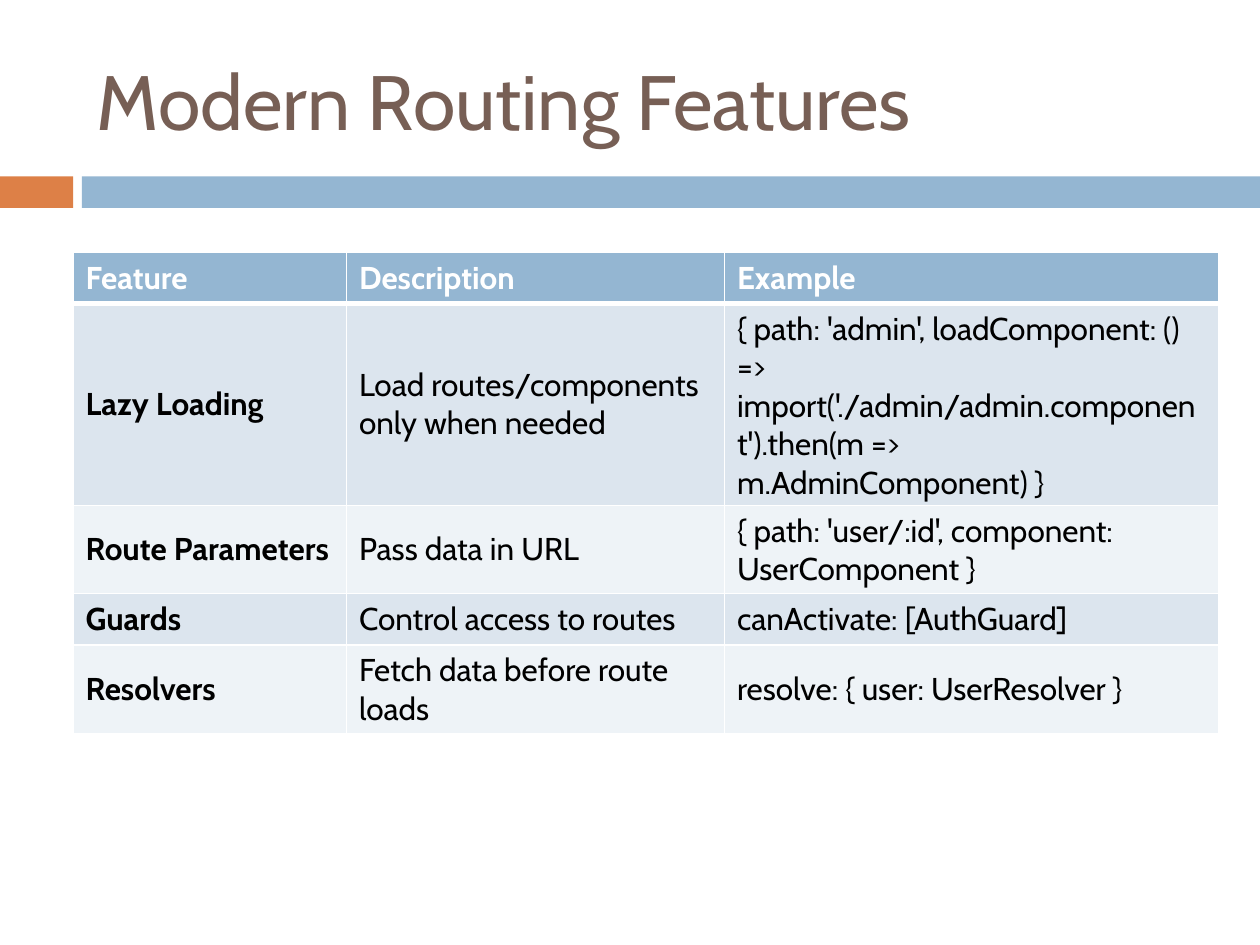
from lxml.etree import SubElement
from pptx import Presentation
from pptx.dml.color import RGBColor
from pptx.enum.shapes import MSO_SHAPE
from pptx.enum.text import MSO_ANCHOR
from pptx.oxml.ns import qn
from pptx.util import Inches, Pt

FONT = "Cabin"
BLUE, ORANGE, BROWN = "94B6D2", "DD8047", "775F55"
WHITE, BLACK = "FFFFFF", "000000"
BAND_FILLS = ["DCE5EE", "EEF3F7"]

TITLE = "Modern Routing Features"
BARS = [(0, 0.58, ORANGE), (0.65, 9.35, BLUE)]
COLUMN_WIDTHS = [2.17, 3, 3.92]
ROW_HEIGHT = 0.41
ROWS = [
    ("Feature", "Description", "Example"),
    (
        "Lazy Loading",
        "Load routes/components only when needed",
        "{ path: 'admin', loadComponent: () => "
        "import('./admin/admin.component').then(m => m.AdminComponent) }",
    ),
    ("Route Parameters", "Pass data in URL", "{ path: 'user/:id', component: UserComponent }"),
    ("Guards", "Control access to routes", "canActivate: [AuthGuard]"),
    ("Resolvers", "Fetch data before route loads", "resolve: { user: UserResolver }"),
]


def color(value):
    return RGBColor.from_string(value)


def fill_solid(item, value):
    item.fill.solid()
    item.fill.fore_color.rgb = color(value)


def write_text(frame, text, size=18, font_color=BLACK, bold=False):
    frame.word_wrap = True
    run = frame.paragraphs[0].add_run()
    run.text = text
    run.font.name = FONT
    run.font.size = Pt(size)
    run.font.bold = bold
    run.font.color.rgb = color(font_color)


def set_borders(cell, bottom_width=1, top_width=1):
    properties = cell._tc.get_or_add_tcPr()
    widths = {"a:lnL": 1, "a:lnR": 1, "a:lnT": top_width, "a:lnB": bottom_width}
    for tag, width in widths.items():
        line = SubElement(properties, qn(tag), w=str(Pt(width)))
        solid = SubElement(line, qn("a:solidFill"))
        SubElement(solid, qn("a:srgbClr"), val=WHITE)


def add_bars(slide):
    for left, width, bar_color in BARS:
        bar = slide.shapes.add_shape(
            MSO_SHAPE.RECTANGLE, Inches(left), Inches(1.4), Inches(width), Inches(0.25)
        )
        bar.shadow.inherit = False
        fill_solid(bar, bar_color)
        bar.line.fill.background()


def add_title(slide):
    title = slide.shapes.add_textbox(Inches(0.67), Inches(0.25), Inches(8.92), Inches(1.08))
    title.text_frame.vertical_anchor = MSO_ANCHOR.MIDDLE
    write_text(title.text_frame, TITLE, size=44, font_color=BROWN)


def add_feature_table(slide):
    table = slide.shapes.add_table(
        len(ROWS), len(COLUMN_WIDTHS), Inches(0.58), Inches(2),
        Inches(sum(COLUMN_WIDTHS)), Inches(ROW_HEIGHT * len(ROWS)),
    ).table
    for column, width in zip(table.columns, COLUMN_WIDTHS):
        column.width = Inches(width)
    for row_index, texts in enumerate(ROWS):
        header = row_index == 0
        for column_index, text in enumerate(texts):
            cell = table.cell(row_index, column_index)
            cell.vertical_anchor = MSO_ANCHOR.MIDDLE
            write_text(
                cell.text_frame, text,
                font_color=WHITE if header else BLACK,
                bold=header or column_index == 0,
            )
            set_borders(
                cell,
                bottom_width=3 if header else 1,
                top_width=3 if row_index == 1 else 1,
            )
            fill_solid(cell, BLUE if header else BAND_FILLS[(row_index - 1) % 2])


def main():
    presentation = Presentation()
    presentation.slide_width = Inches(10)
    presentation.slide_height = Inches(7.5)
    slide = presentation.slides.add_slide(presentation.slide_layouts[6])
    add_bars(slide)
    add_title(slide)
    add_feature_table(slide)
    presentation.save("out.pptx")


if __name__ == "__main__":
    main()
